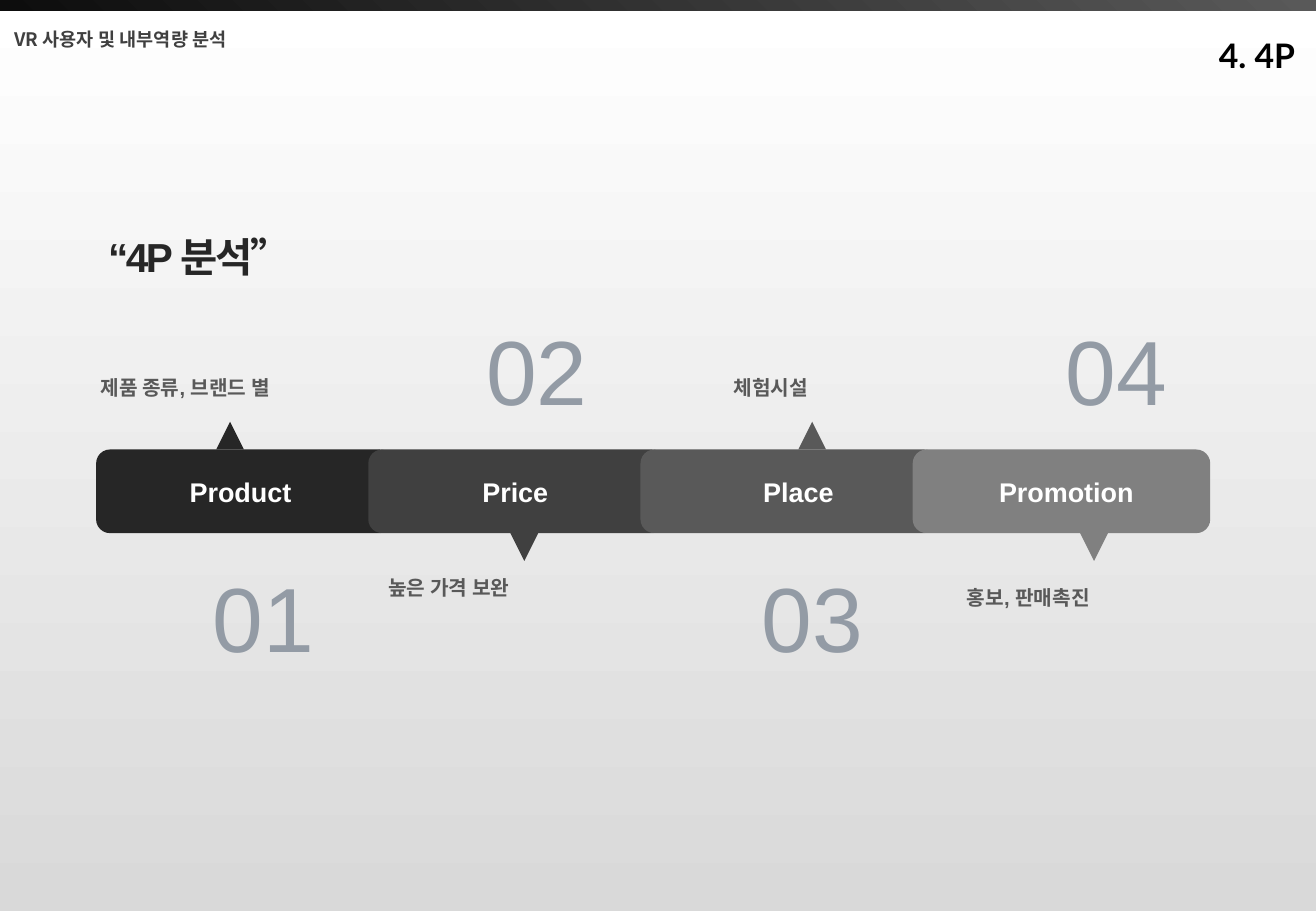
from dataclasses import dataclass

from lxml import etree
from pptx import Presentation
from pptx.dml.color import RGBColor
from pptx.enum.shapes import MSO_SHAPE
from pptx.enum.text import MSO_ANCHOR, MSO_AUTO_SIZE, PP_ALIGN
from pptx.oxml.ns import qn
from pptx.util import Cm, Pt

RECTANGLE = MSO_SHAPE.RECTANGLE
ROUNDED_RECTANGLE = MSO_SHAPE.ROUNDED_RECTANGLE
TRIANGLE = MSO_SHAPE.ISOSCELES_TRIANGLE
TOP, MIDDLE = MSO_ANCHOR.TOP, MSO_ANCHOR.MIDDLE
LEFT, CENTER, RIGHT = PP_ALIGN.LEFT, PP_ALIGN.CENTER, PP_ALIGN.RIGHT
JUSTIFY = PP_ALIGN.JUSTIFY
NO_AUTOFIT = MSO_AUTO_SIZE.NONE

LATIN_FONT = "Arial"
TITLE_FONT = "Lato"
KOREAN_FONT = "Noto Sans CJK KR"

INSET = 0.25
BAR_LEFT, BAR_TOP = 2.01, 9.4
BAR_WIDTH, BAR_HEIGHT = 6.22, 1.75
BAR_STEP = 5.69
POINTER_SIZE = 0.58
COLUMN_WIDTH = 6.48


@dataclass
class Step:
    """One of the four Ps; the lefts and the description top are in cm."""
    label: str
    label_left: float
    color: str
    pointer_left: float
    description: str
    description_left: float
    description_top: float
    number_left: float


STEPS = [
    Step("Product", 3.63, "262626", 4.52, "제품 종류, 브랜드 별", 1.85, 7.72, 2.26),
    Step("Price", 9.75, "404040", 10.67, "높은 가격 보완", 7.87, 11.91, 7.98),
    Step("Place", 15.62, "595959", 16.69, "체험시설", 15.09, 7.72, 13.74),
    Step("Promotion", 20.55, "808080", 22.58, "홍보, 판매촉진", 19.96, 12.12, 20.09),
]


def rgb(color):
    return RGBColor.from_string(color)


def fill_gradient(fill, start, end, angle):
    """Fill from start to end; the angle runs counter-clockwise."""
    fill.gradient()
    fill.gradient_angle = angle
    for stop, color in zip(fill.gradient_stops, (start, end)):
        stop.color.rgb = rgb(color)


def write_text(shape, text, size, color, bold=True, font=LATIN_FONT,
               align=LEFT, anchor=TOP, wrap=True, spacing=None):
    text_frame = shape.text_frame
    text_frame.text = text
    text_frame.word_wrap = wrap
    text_frame.auto_size = NO_AUTOFIT
    text_frame.vertical_anchor = anchor
    paragraph = text_frame.paragraphs[0]
    paragraph.alignment = align
    run = paragraph.runs[0]
    run.font.size = Pt(size)
    run.font.bold = bold
    run.font.color.rgb = rgb(color)
    run.font.name = font
    properties = run.font._element
    etree.SubElement(properties, qn("a:ea"), typeface=KOREAN_FONT)
    if spacing is not None:
        properties.set("spc", str(round(spacing * 100)))


def add_text(slide, left, top, width, height, text, size, color, **style):
    box = slide.shapes.add_textbox(Cm(left), Cm(top), Cm(width), Cm(height))
    write_text(box, text, size, color, **style)


def add_plain_shape(slide, kind, left, top, width, height, color=None):
    shape = slide.shapes.add_shape(kind, Cm(left), Cm(top), Cm(width), Cm(height))
    shape.shadow.inherit = False
    shape.line.fill.background()
    if color:
        shape.fill.solid()
        shape.fill.fore_color.rgb = rgb(color)
    return shape


def set_title(slide, text):
    title = slide.shapes.title
    title.left, title.top = Cm(13.56), Cm(0.18)
    title.width, title.height = Cm(13.77), Cm(1.4)
    write_text(title, text, 20, "000000", font=TITLE_FONT, align=RIGHT)
    title.text_frame.paragraphs[0].line_spacing = 1.5


def add_header(slide):
    strip = add_plain_shape(slide, RECTANGLE, -0.03, 0, 27.54, 0.23)
    fill_gradient(strip.fill, "0D0D0D", "595959", 45)
    add_text(slide, 0.05, 0.46, 5.51, 0.74, "VR 사용자 및 내부역량 분석", 11,
             "404040", font=KOREAN_FONT, wrap=False)


def add_step(slide, index, step):
    """Draw a bar whose pointer and number sit on opposite sides."""
    points_up = index % 2 == 0
    bar_left = BAR_LEFT + index * BAR_STEP
    bar = add_plain_shape(slide, ROUNDED_RECTANGLE, bar_left, BAR_TOP,
                          BAR_WIDTH, BAR_HEIGHT, step.color)
    write_text(bar, step.label, 16, "FFFFFF", anchor=MIDDLE)
    bar.text_frame.margin_left = Cm(step.label_left - bar_left + INSET)

    pointer_top = BAR_TOP - POINTER_SIZE if points_up else BAR_TOP + BAR_HEIGHT
    pointer = add_plain_shape(slide, TRIANGLE, step.pointer_left, pointer_top,
                              POINTER_SIZE, POINTER_SIZE, step.color)
    if not points_up:
        pointer.rotation = 180

    add_text(slide, step.description_left, step.description_top, COLUMN_WIDTH,
             0.76, step.description, 12, "595959", align=JUSTIFY)
    add_text(slide, step.number_left, 11.61 if points_up else 6.45,
             COLUMN_WIDTH, 2.57, f"{index + 1:02}", 54, "939BA5",
             bold=False, align=CENTER)


def main():
    presentation = Presentation()
    presentation.slide_width, presentation.slide_height = Cm(27.51), Cm(19.05)
    slide = presentation.slides.add_slide(presentation.slide_layouts[5])
    fill_gradient(slide.background.fill, "D9D9D9", "FFFFFF", 90)
    set_title(slide, "4. 4P")
    add_header(slide)
    add_text(slide, 2.01, 4.72, 10.03, 1.27, "“4P 분석”", 24, "262626",
             spacing=-1.5)
    for index, step in enumerate(STEPS):
        add_step(slide, index, step)
    presentation.save("out.pptx")


if __name__ == "__main__":
    main()
